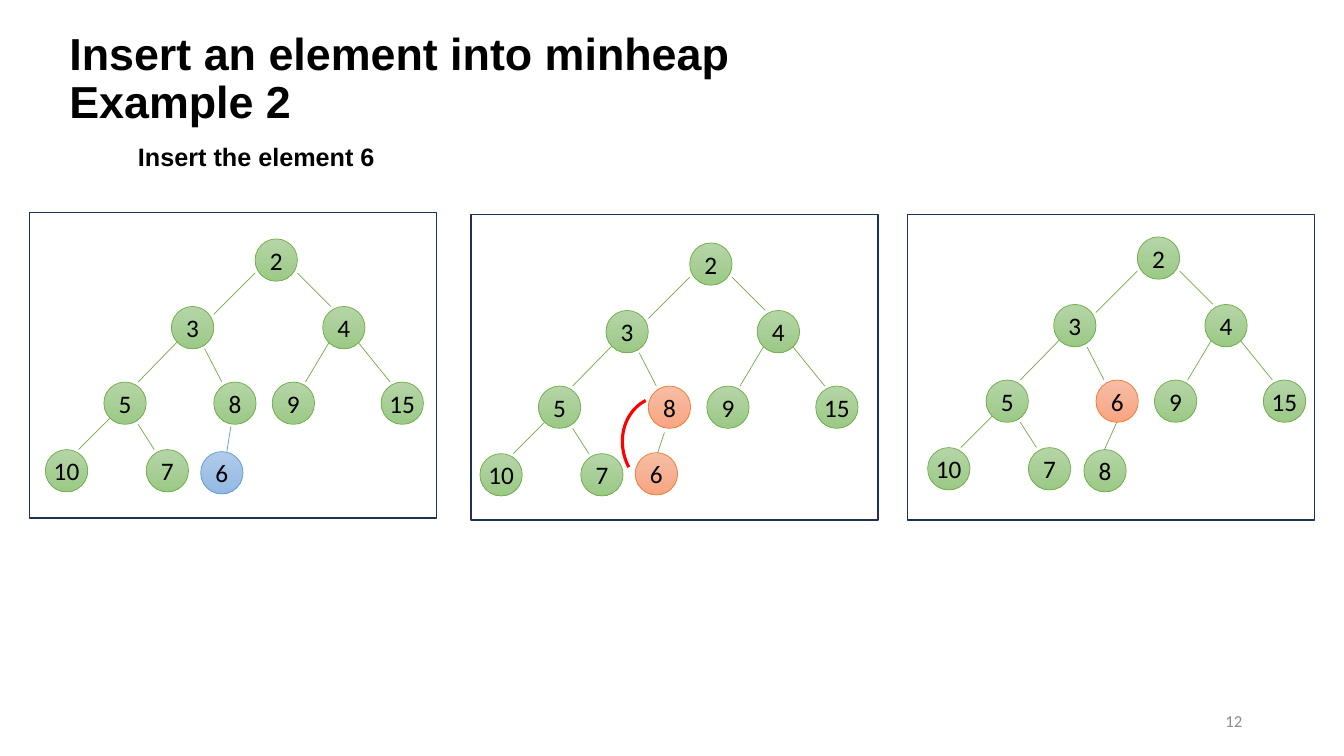
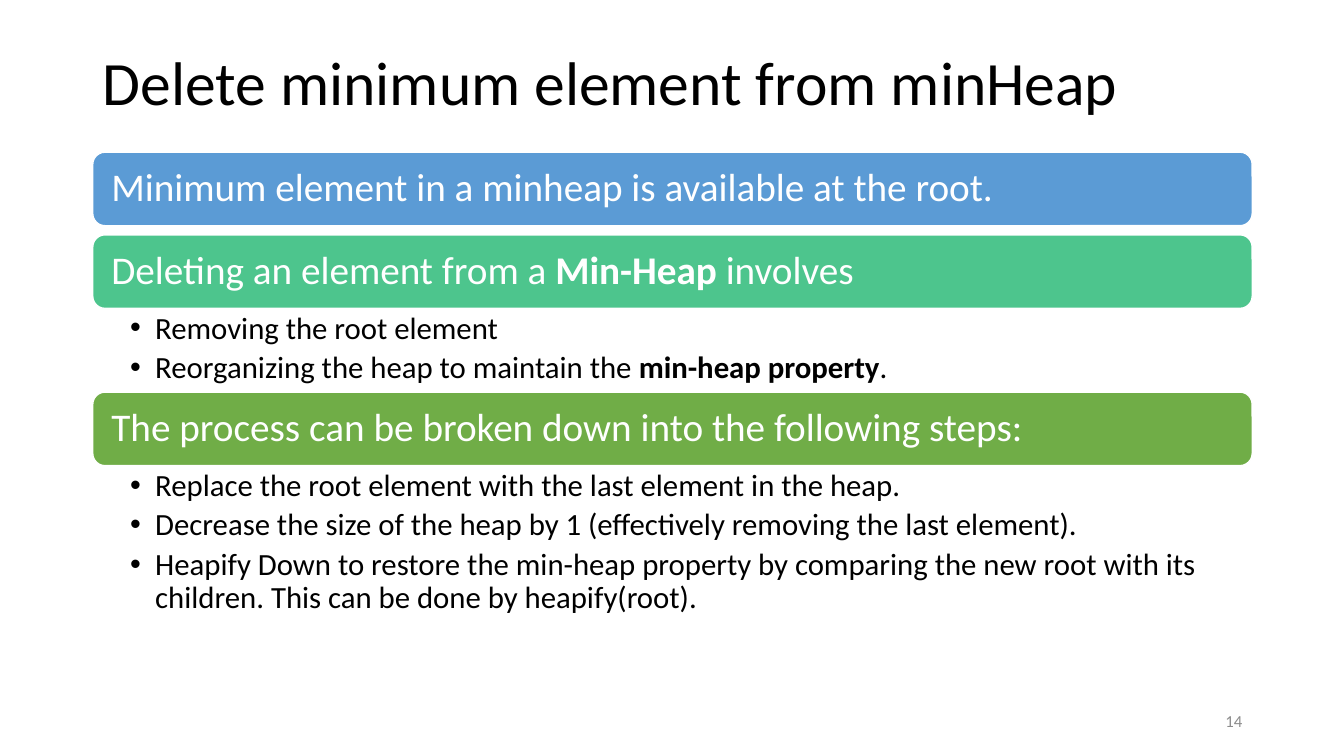
from lxml import etree
from pptx import Presentation
from pptx.dml.color import RGBColor
from pptx.enum.shapes import MSO_CONNECTOR, MSO_SHAPE
from pptx.enum.text import MSO_ANCHOR, PP_ALIGN
from pptx.oxml.ns import qn
from pptx.util import Emu, Pt

OVAL, RECT = MSO_SHAPE.OVAL, MSO_SHAPE.RECTANGLE
ROUNDED, ARC = MSO_SHAPE.ROUNDED_RECTANGLE, MSO_SHAPE.ARC
STRAIGHT = MSO_CONNECTOR.STRAIGHT
TOP, MIDDLE = MSO_ANCHOR.TOP, MSO_ANCHOR.MIDDLE
LEFT, CENTER, RIGHT = PP_ALIGN.LEFT, PP_ALIGN.CENTER, PP_ALIGN.RIGHT

# Shared style: 100 px to the inch
EMU_PER_PX = 9144
BLACK, WHITE, GREY = "000000", "FFFFFF", "8C8C8C"
NAVY, RED = "1E3256", "FF0000"
BLUE_BAR, TEAL_BAR, GREEN_BAR = "5B9BD5", "4DC58D", "70AD47"
# Node palettes: gradient top, gradient bottom, outline
GREEN = ("B5D5A7", "9CC987", "70AD47")
BLUE = ("B1CBE9", "93B9E4", "5B9BD5")
ORANGE = ("F7BDA5", "F8A582", "ED7D31")

# Heap geometry, relative to the top left of the tree
NODE_SIZE = 42
NODE_SPOTS = [(208, 0), (125, 67), (275, 67), (58, 142), (167, 142),
              (225, 142), (333, 142), (0, 209), (100, 209)]
EDGES = [(208, 34, 167, 75), (250, 34, 283, 67), (133, 100, 92, 142),
         (158, 109, 175, 142), (283, 100, 258, 142), (308, 100, 342, 142),
         (75, 167, 33, 209), (92, 184, 108, 209)]


def px(length):
    return Emu(length * EMU_PER_PX)


def color(hex_string):
    return RGBColor.from_string(hex_string)


def write(frame, paragraphs, size, ink=BLACK, font="Calibri", bold=False,
          align=LEFT, anchor=TOP, spacing=None, after=0, bullets=False,
          margins=None, wrap=True):
    """Fill a frame; text between ** marks is bold."""
    frame.word_wrap = wrap
    frame.vertical_anchor = anchor
    if margins:
        (frame.margin_left, frame.margin_top, frame.margin_right,
         frame.margin_bottom) = map(px, margins)
    for index, text in enumerate(paragraphs):
        paragraph = frame.add_paragraph() if index else frame.paragraphs[0]
        if bullets:
            add_bullet(paragraph)
        paragraph.alignment = align
        if spacing:
            paragraph.line_spacing = spacing
        paragraph.space_after = Pt(after)
        parts = text.split("**")
        paragraph.text = parts[0]
        for part in parts[1:]:
            paragraph.add_run().text = part
        for position, run in enumerate(paragraph.runs):
            run.font.name, run.font.size = font, Pt(size)
            run.font.color.rgb = color(ink)
            run.font.bold = bold or (len(parts) > 1 and position % 2 == 1)


def add_bullet(paragraph):
    paragraph.level = 1
    properties = paragraph._p.get_or_add_pPr()
    properties.set("marL", str(px(25)))
    properties.set("indent", str(px(-25)))
    etree.SubElement(properties, qn("a:buFont")).set("typeface", "Arial")
    etree.SubElement(properties, qn("a:buChar")).set("char", "•")


def add_text(slide, box, paragraphs, size, **style):
    text_box = slide.shapes.add_textbox(*map(px, box))
    write(text_box.text_frame, paragraphs, size, **style)


def add_outline(shapes, kind, box, line, width):
    """Preset shape without a fill."""
    shape = shapes.add_shape(kind, *map(px, box))
    shape.shadow.inherit = False
    shape.fill.background()
    shape.line.color.rgb = color(line)
    shape.line.width = Pt(width)
    return shape


def add_node(shapes, x, y, key, palette):
    node = add_outline(shapes, OVAL, (x, y, NODE_SIZE, NODE_SIZE), palette[2], 0.5)
    node.fill.gradient()
    node.fill.gradient_angle = 270
    for stop, shade in zip(node.fill.gradient_stops, palette):
        stop.color.rgb = color(shade)
    write(node.text_frame, [key], 18, align=CENTER, anchor=MIDDLE, wrap=False)


def add_edge(shapes, ends, line):
    edge = shapes.add_connector(STRAIGHT, *map(px, ends))
    edge.line.color.rgb = color(line)
    edge.line.width = Pt(0.5)
    etree.SubElement(edge._element.spPr, qn("a:effectLst"))


def add_heap(slide, panel, inset, keys, child, child_spot, child_edge,
             child_palette, swap_palette=GREEN, swap_arc=None):
    """Framed heap; child is the tenth node, below the fifth."""
    shapes = slide.shapes.add_group_shape().shapes
    left, top = panel[0] + inset[0], panel[1] + inset[1]
    add_outline(shapes, RECT, panel, NAVY, 1)

    # Edges
    edge_lines = [GREEN[2]] * len(EDGES)
    edge_lines.append(BLUE[2] if child_palette is BLUE else GREEN[2])
    for (x1, y1, x2, y2), line in zip(EDGES + [child_edge], edge_lines):
        add_edge(shapes, (left + x1, top + y1, left + x2, top + y2), line)

    # Nodes
    palettes = [GREEN] * 4 + [swap_palette] + [GREEN] * 4 + [child_palette]
    spots = NODE_SPOTS + [child_spot]
    for (x, y), key, palette in zip(spots, keys + [child], palettes):
        add_node(shapes, left + x, top + y, key, palette)

    # Swap mark
    if swap_arc:
        x, y, width, height = swap_arc
        arc = add_outline(shapes, ARC, (left + x, top + y, width, height), RED, 2.25)
        arc.rotation = 242.5


def add_page_number(slide, number):
    add_text(slide, (942, 695, 300, 40), [number], 12, ink=GREY, align=RIGHT,
             anchor=MIDDLE)


def add_title(slide, box, text, size, **style):
    add_text(slide, box, [text], size, anchor=MIDDLE, spacing=0.9, **style)


def add_section(slide, left, top, width, heading, fill, points, points_height):
    """Coloured heading bar with its points below; returns the next top."""
    bar_height, gap = 73, 9
    bar = add_outline(slide.shapes, ROUNDED, (left, top, width, bar_height), WHITE, 1)
    bar.fill.solid()
    bar.fill.fore_color.rgb = color(fill)
    write(bar.text_frame, [heading], 28, ink=WHITE, anchor=MIDDLE,
          spacing=0.9, margins=(15, 12, 15, 12))
    top += bar_height
    if not points:
        return top + gap
    add_text(slide, (left, top, width, points_height), points, 22, spacing=0.9,
             after=4.4, bullets=True, margins=(37, 4, 22, 4))
    return top + points_height


def build_insert_slide(slide):
    add_title(slide, (59, 38, 1150, 83),
              "Insert an element into minheap\nExample 2", 32,
              font="Arial", bold=True)
    add_text(slide, (127, 135, 260, 40), ["Insert the element 6"], 18,
             font="Arial", bold=True)
    before = ["2", "3", "4", "5", "8", "9", "15", "10", "7"]
    after = ["6" if key == "8" else key for key in before]
    add_heap(slide, (29, 211, 404, 303), (16, 26), before, "6", (154, 211),
             (184, 186, 180, 211), BLUE)
    add_heap(slide, (467, 213, 404, 303), (9, 28), before, "6", (154, 208),
             (183, 188, 176, 209), ORANGE, ORANGE, (137, 156, 102, 91))
    add_heap(slide, (900, 213, 404, 303), (20, 22), after, "8", (155, 211),
             (188, 183, 175, 212), GREEN, ORANGE)
    add_page_number(slide, "12")


def build_delete_slide(slide):
    add_title(slide, (92, 12, 1150, 145), "Delete minimum element from minHeap", 44)
    sections = [
        ("Minimum element in a minheap is available at the root.", BLUE_BAR, [], 0),
        ("Deleting an element from a **Min-Heap** involves", TEAL_BAR,
         ["Removing the root element",
          "Reorganizing the heap to maintain the **min-heap property**."], 83),
        ("The process can be broken down into the following steps:", GREEN_BAR,
         ["Replace the root element with the last element in the heap.",
          "Decrease the size of the heap by 1 (effectively removing the last element).",
          "Heapify Down to restore the min-heap property by comparing the new root "
          "with its children. This can be done by heapify(root)."], 158),
    ]
    top = 151
    for section in sections:
        top = add_section(slide, 92, top, 1150, *section)
    add_page_number(slide, "14")


def main():
    deck = Presentation()
    deck.slide_width, deck.slide_height = px(1333), px(750)
    blank = deck.slide_layouts[6]
    for build in (build_insert_slide, build_delete_slide):
        build(deck.slides.add_slide(blank))
    deck.save("out.pptx")


if __name__ == "__main__":
    main()
